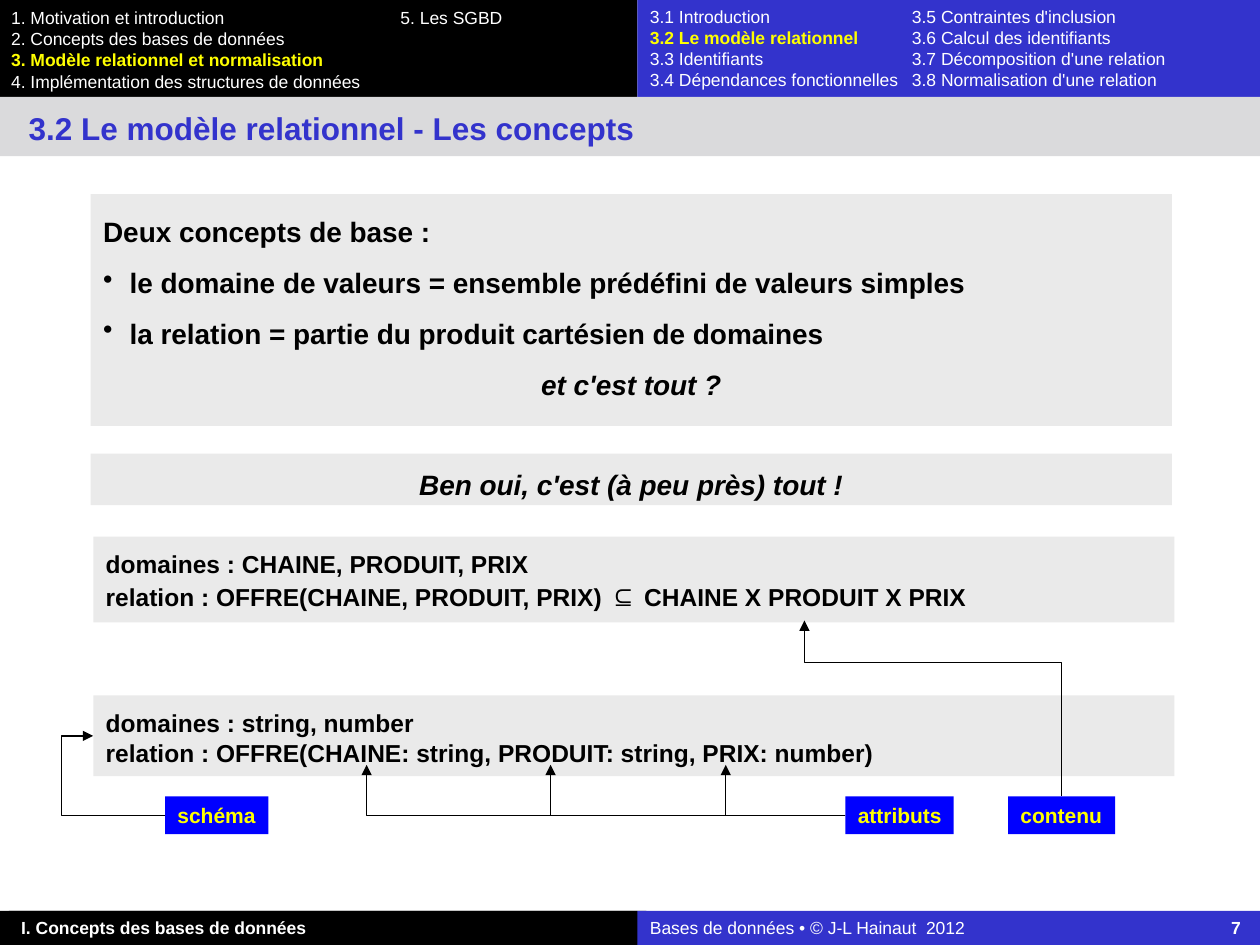
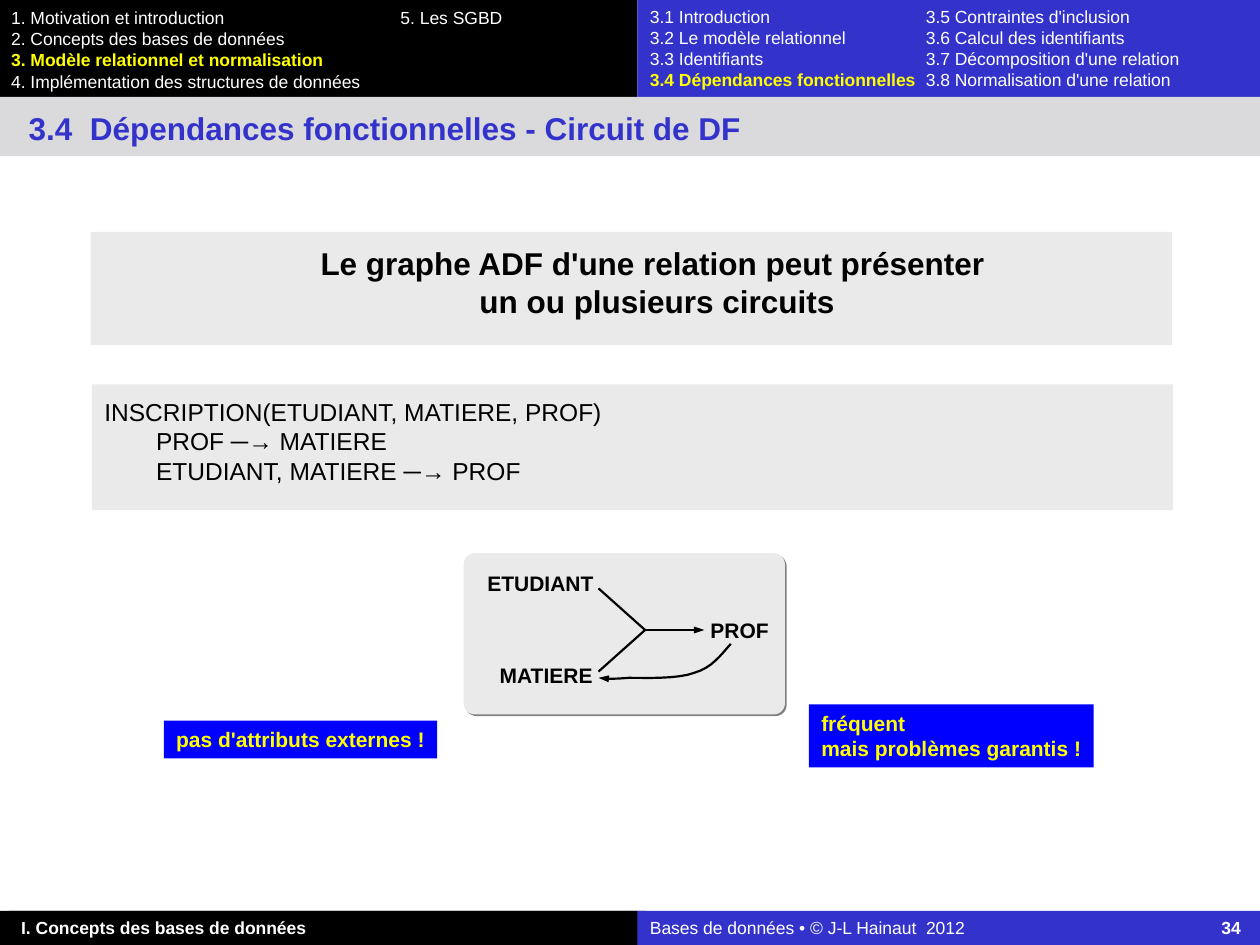
"""Build two slides of a database course: the relational model and circuits of functional dependencies."""
import pptx
import pptx.dml.color
import pptx.enum.shapes
import pptx.enum.text
import pptx.oxml
import pptx.oxml.ns
import pptx.util

BLACK = pptx.dml.color.RGBColor(0x00, 0x00, 0x00)
WHITE = pptx.dml.color.RGBColor(0xFF, 0xFF, 0xFF)
YELLOW = pptx.dml.color.RGBColor(0xFF, 0xFF, 0x00)
INDIGO = pptx.dml.color.RGBColor(0x33, 0x33, 0xCC)
BLUE = pptx.dml.color.RGBColor(0x00, 0x00, 0xFF)
TITLE_GREY = pptx.dml.color.RGBColor(0xDA, 0xDA, 0xDC)
PANEL_GREY = pptx.dml.color.RGBColor(0xEA, 0xEA, 0xEA)

FONT = "Arial"
A_NS = 'xmlns:a="http://schemas.openxmlformats.org/drawingml/2006/main"'
SHAPES = pptx.enum.shapes.MSO_SHAPE
CONNECTORS = pptx.enum.shapes.MSO_CONNECTOR
CENTER = pptx.enum.text.PP_ALIGN.CENTER
MIDDLE = pptx.enum.text.MSO_ANCHOR.MIDDLE
TOP = pptx.enum.text.MSO_ANCHOR.TOP

deck = pptx.Presentation()
deck.slide_width = pptx.util.Inches(10)
deck.slide_height = pptx.util.Inches(7.5)
CELL = deck.slide_width // 100


def write_box(slide, at, lines=(), fill=None, size=10, color=BLACK, bold=False, italic=False,
              align=None, insets=(1, 0.5, 1, 0.5), wrap=True, anchor=TOP, hang=0, tabs=(),
              leading=None, before=0, kind=SHAPES.RECTANGLE):
    """Place a box on the grid; each line is a list of (text, changes) runs."""
    box = slide.shapes.add_shape(kind, *[int(length * CELL) for length in at])
    box.shadow.inherit = False
    box.line.fill.background()
    if fill is None:
        box.fill.background()
    else:
        box.fill.solid()
        box.fill.fore_color.rgb = fill
    frame = box.text_frame
    frame.word_wrap = wrap
    frame.vertical_anchor = anchor
    frame.margin_left, frame.margin_top, frame.margin_right, frame.margin_bottom = [
        int(inset * CELL) for inset in insets]
    for index, line in enumerate(lines):
        paragraph = frame.paragraphs[0] if index == 0 else frame.add_paragraph()
        paragraph.alignment = align or pptx.enum.text.PP_ALIGN.LEFT
        if leading:
            paragraph.line_spacing = leading
        if before and index:
            paragraph.space_before = pptx.util.Pt(before)
        properties = paragraph._p.get_or_add_pPr()
        if hang:
            properties.set("marL", str(int(hang * CELL)))
            properties.set("indent", str(-int(hang * CELL)))
        if tabs:
            stops = "".join(f'<a:tab pos="{int(stop * CELL)}" algn="{side}"/>' for stop, side in tabs)
            properties.append(pptx.oxml.parse_xml(f"<a:tabLst {A_NS}>{stops}</a:tabLst>"))
        for text, changes in line:
            run = paragraph.add_run()
            run.text = text
            run.font.name = FONT
            run.font.size = pptx.util.Pt(changes.get("size", size))
            run.font.bold = changes.get("bold", bold)
            run.font.italic = italic or changes.get("italic", False)
            run.font.color.rgb = changes.get("color", color)
    return box


def ink(stroke, width, head=None):
    """Draw a stroke in black without shadow, with an arrowhead of the given breadth."""
    stroke.line.color.rgb = BLACK
    stroke.line.width = pptx.util.Pt(width)
    properties = stroke._element.spPr
    if head:
        properties.find(pptx.oxml.ns.qn("a:ln")).append(
            pptx.oxml.parse_xml(f'<a:tailEnd {A_NS} type="triangle" w="{head}" len="med"/>'))
    for effects in properties.findall(pptx.oxml.ns.qn("a:effectLst")):
        properties.remove(effects)
    properties.append(pptx.oxml.parse_xml(f"<a:effectLst {A_NS}/>"))


SPLIT = 50.6
HEADER = 7.7
FOOTER = 72.3
ACTIVE = {"color": YELLOW, "bold": True}
TITLE_STYLE = dict(size=18, color=INDIGO, bold=True)
LABEL = dict(fill=BLUE, size=12, color=YELLOW, bold=True, wrap=False)

chapters = [
    [("1. Motivation et introduction\t5. Les SGBD", {})],
    [("2. Concepts des bases de données", {})],
    [("3. Modèle relationnel et normalisation", ACTIVE)],
    [("4. Implémentation des structures de données", {})],
]
sections = [
    ("3.1 Introduction", "3.5 Contraintes d'inclusion"),
    ("3.2 Le modèle relationnel", "3.6 Calcul des identifiants"),
    ("3.3 Identifiants", "3.7 Décomposition d'une relation"),
    ("3.4 Dépendances fonctionnelles", "3.8 Normalisation d'une relation"),
]
pages = [
    ("3.2 Le modèle relationnel - Les concepts", 1, 20.8, "7"),
    ("3.4  Dépendances fonctionnelles - Circuit de DF", 3, 21.9, "34"),
]

slides = []
for title, active_row, section_tab, number in pages:
    slide = deck.slides.add_slide(deck.slide_layouts[6])
    slides.append(slide)
    write_box(slide, (0, 0, SPLIT, HEADER), fill=BLACK)
    write_box(slide, (0, FOOTER, SPLIT, 2.7), fill=BLACK)
    write_box(slide, (0.7, FOOTER, SPLIT, 2.7), [[("I. Concepts des bases de données", {})]],
              fill=BLACK, color=WHITE, bold=True)
    write_box(slide, (SPLIT, FOOTER, 100 - SPLIT, 2.7),
              [[("Bases de données • © J-L Hainaut  2012\t", {}), (number, {"bold": True})]],
              fill=INDIGO, color=WHITE, tabs=[(46.9, "r")])
    write_box(slide, (-0.1, 0.1, SPLIT, HEADER), chapters, color=WHITE, tabs=[(30.9, "l")])
    section_lines = [[(left + "\t", ACTIVE if row == active_row else {}), (right, {})]
                     for row, (left, right) in enumerate(sections)]
    write_box(slide, (SPLIT, 0, 100 - SPLIT, HEADER), section_lines, fill=INDIGO, color=WHITE,
              tabs=[(section_tab, "l")])
    write_box(slide, (0, HEADER, 100, 4.7), fill=TITLE_GREY)
    write_box(slide, (1.3, 8.2, 93.3, 4), [[(title, {})]], **TITLE_STYLE)

concepts, circuit = slides
PANEL_WIDTH = 85.8

definitions = write_box(
    concepts, (7.2, 15.4, PANEL_WIDTH, 18.4),
    [[("Deux concepts de base :", {})],
     [("le domaine de valeurs = ensemble prédéfini de valeurs simples", {})],
     [("la relation = partie du produit cartésien de domaines", {})],
     [("et c'est tout ?", {"italic": True})]],
    fill=PANEL_GREY, size=16, bold=True, insets=(1, 1, 1, 2), hang=2.1, leading=1.25, before=5)
definition_lines = definitions.text_frame.paragraphs
for bulleted in definition_lines[1:3]:
    bulleted._p.get_or_add_pPr().append(pptx.oxml.parse_xml(f'<a:buChar {A_NS} char="•"/>'))
definition_lines[3].alignment = CENTER

write_box(concepts, (7.2, 36, PANEL_WIDTH, 4.1), [[("Ben oui, c'est (à peu près) tout !", {})]],
          fill=PANEL_GREY, size=16, bold=True, italic=True, align=CENTER,
          insets=(1, 0.4, 1, 0.4), hang=2.1, leading=1.25)

examples = [
    (42.6, 6.8, [[("domaines : CHAINE, PRODUIT, PRIX", {})],
                 [("relation : OFFRE(CHAINE, PRODUIT, PRIX) ", {}), ("⊆", {"size": 16}),
                  (" CHAINE X PRODUIT X PRIX", {})]]),
    (55.2, 6.4, [[("domaines : string, number", {})],
                 [("relation : OFFRE(CHAINE: string, PRODUIT: string, PRIX: number)", {})]]),
]
for top, height, lines in examples:
    write_box(concepts, (7.4, top, PANEL_WIDTH, height), lines, fill=PANEL_GREY, size=14,
              bold=True, insets=(1, 1, 1, 0.8))

for left, width, term in [(13.1, 8.2, "schéma"), (67.1, 8.6, "attributs"), (80, 8.5, "contenu")]:
    write_box(concepts, (left, 63.2, width, 3), [[(term, {})]], **LABEL)

elbows = [((attribute, 60.7, 67.1 - attribute, 4), 180, False, None)
          for attribute in (29.1, 43.7, 57.6)]
elbows.append(((67.1, 46, 13.9, 20.4), 270, True, 0.76))
elbows.append(((7.4, 58.4, 5.7, 6.3), 180, False, 1.44))
for (left, top, width, height), turn, flipped, bend in elbows:
    elbow = concepts.shapes.add_connector(
        CONNECTORS.ELBOW, *[int(length * CELL) for length in (left, top, left + width, top + height)])
    frame = elbow._element.spPr.find(pptx.oxml.ns.qn("a:xfrm"))
    frame.set("rot", str(turn * 60000))
    if flipped:
        frame.set("flipV", "1")
    geometry = elbow._element.spPr.find(pptx.oxml.ns.qn("a:prstGeom"))
    if bend is None:
        geometry.set("prst", "bentConnector2")
    else:
        geometry.find(pptx.oxml.ns.qn("a:avLst")).append(
            pptx.oxml.parse_xml(f'<a:gd {A_NS} name="adj1" fmla="val {round(bend * 100000)}"/>'))
    ink(elbow, 0.75, "med")

write_box(circuit, (7.2, 18.4, PANEL_WIDTH, 9),
          [[("\tLe graphe ADF d'une relation peut présenter ", {})],
           [("\tun ou plusieurs circuits", {})]],
          fill=PANEL_GREY, size=18, bold=True, align=CENTER, insets=(1, 1, 1, 2), hang=4.1,
          tabs=[(6.3, "l")])
write_box(circuit, (7.3, 30.5, PANEL_WIDTH, 10),
          [[("INSCRIPTION(ETUDIANT, MATIERE, PROF)", {})],
           [("\tPROF ─→ MATIERE", {})],
           [("\tETUDIANT, MATIERE ─→ PROF", {})]],
          fill=PANEL_GREY, size=14, insets=(1, 1, 1, 2), hang=4.1, tabs=[(4.1, "l")])

graph = write_box(circuit, (36.8, 43.9, 25.5, 12.8), fill=PANEL_GREY, kind=SHAPES.ROUNDED_RECTANGLE)
graph.adjustments[0] = 0.07
graph._element.spPr.find(pptx.oxml.ns.qn("a:effectLst")).append(pptx.oxml.parse_xml(
    f'<a:outerShdw {A_NS} dist="17780" dir="2700000" algn="ctr" rotWithShape="0">'
    '<a:srgbClr val="808080"/></a:outerShdw>'))
for left, top, width, attribute in [(38.7, 45.3, 8.4, "ETUDIANT"), (39.6, 52.6, 7.5, "MATIERE"),
                                    (56.4, 49, 4.6, "PROF")]:
    write_box(circuit, (left, top, width, 2), [[(attribute, {})]], size=12, bold=True,
              align=CENTER, insets=(0, 0, 0, 0), wrap=False, anchor=MIDDLE)

junction = (51.2, 50)
for start, end, head in [((47.5, 46.7), junction, None), (junction, (47.5, 53.3), None),
                         (junction, (55.9, 50), "sm")]:
    edge = circuit.shapes.add_connector(
        CONNECTORS.STRAIGHT, *[int(length * CELL) for length in start + end])
    ink(edge, 1.25, head)

bends = [((58, 51.1), (57.2, 52), (56.5, 53), (55.1, 53.4)),
         ((55.1, 53.4), (53.8, 53.9), (51.2, 53.8), (49.9, 53.8)),
         ((49.9, 53.8), (48.6, 53.9), (48, 53.9), (47.5, 53.8))]
STEPS = 8
curve = []
for bend in bends:
    for step in range(1, STEPS + 1):
        t = step / STEPS
        weights = ((1 - t) ** 3, 3 * t * (1 - t) ** 2, 3 * t ** 2 * (1 - t), t ** 3)
        curve.append(tuple(int(CELL * sum(w * point[axis] for w, point in zip(weights, bend)))
                           for axis in (0, 1)))
outline = circuit.shapes.build_freeform(int(bends[0][0][0] * CELL), int(bends[0][0][1] * CELL))
outline.add_line_segments(curve, close=False)
return_arrow = outline.convert_to_shape()
return_arrow.fill.background()
ink(return_arrow, 1.25, "sm")

write_box(circuit, (64.2, 55.9, 22.6, 5),
          [[("fréquent", {})], [("mais problèmes garantis !", {})]], **LABEL)
write_box(circuit, (13, 57.2, 21.7, 3), [[("pas d'attributs externes !", {})]], **LABEL)

deck.save("out.pptx")
